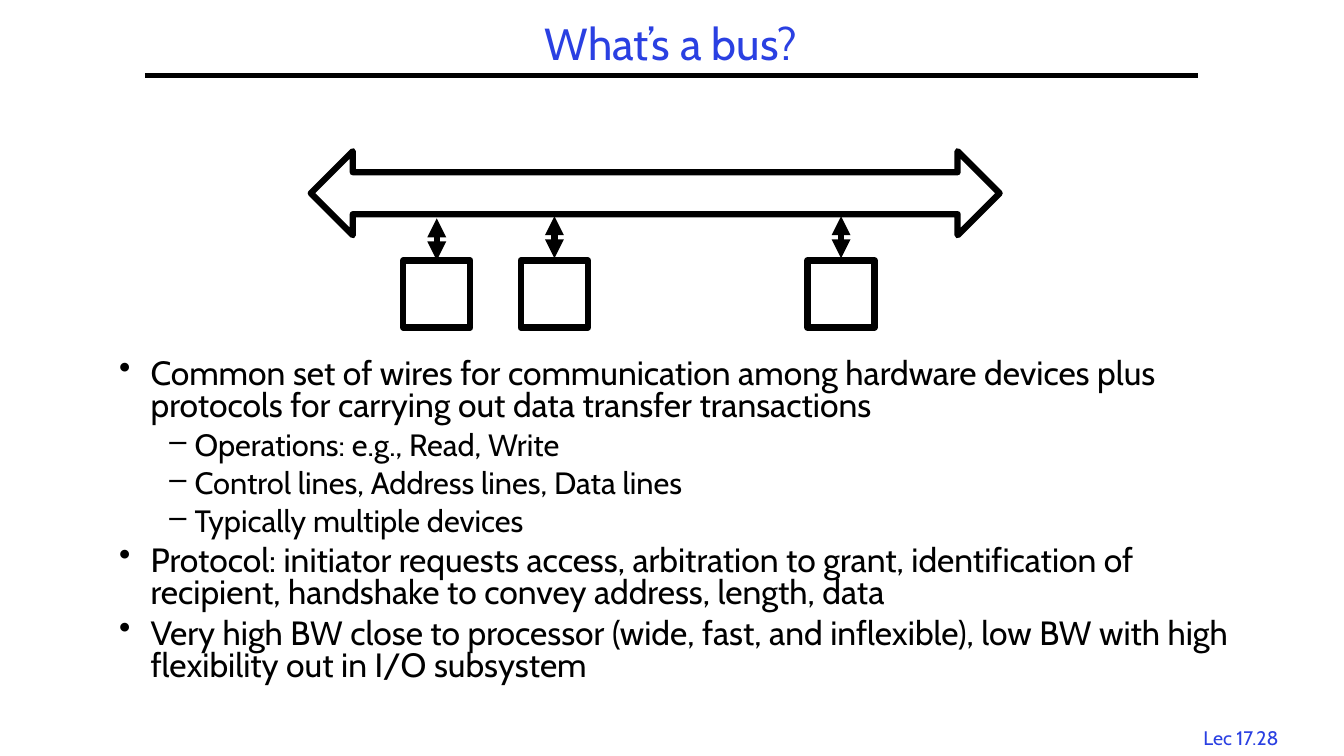
import pptx
import pptx.util
import pptx.dml.color
import pptx.enum.shapes
import pptx.enum.text
import pptx.oxml.ns
import lxml.etree

PX = 9525
FONT = "Cabin"
COLORS = {"ink": "000000", "paper": "FFFFFF", "accent": "2A40E2"}
SHAPE = pptx.enum.shapes.MSO_SHAPE
ALIGN = pptx.enum.text.PP_ALIGN
ANCHOR = pptx.enum.text.MSO_ANCHOR
LEVELS = [
    {"size": 24, "bullet": "•", "margin": 30, "hang": 30},
    {"size": 22, "bullet": "–", "margin": 72, "hang": 24},
]
POINTS = [
    (0, "Common set of wires for communication among hardware devices plus "
        "protocols for carrying out data transfer transactions"),
    (1, "Operations: e.g., Read, Write"),
    (1, "Control lines, Address lines, Data lines"),
    (1, "Typically multiple devices"),
    (0, "Protocol: initiator requests access, arbitration to grant, "
        "identification of recipient, handshake to convey address, length, data"),
    (0, "Very high BW close to processor (wide, fast, and inflexible), "
        "low BW with high flexibility out in I/O subsystem"),
]
DEVICE_SIZE = 64
DEVICE_TOP = 248
DEVICES = [(384, 248), (496, 246), (769, 246)]
LINK_LENGTH = 40


def px(*values):
    """Turn pixel lengths into EMU."""
    return [pptx.util.Emu(v * PX) for v in values]


def rgb(name):
    """Look up a named colour."""
    return pptx.dml.color.RGBColor.from_string(COLORS[name])


def add_xml(parent, tag, **attrs):
    """Append a DrawingML element to a parent."""
    return lxml.etree.SubElement(parent, pptx.oxml.ns.qn(tag), attrs)


def add_box(s, box, anchor=ANCHOR.TOP, wrap=True):
    """Add an empty text box and return its text frame."""
    tf = s.shapes.add_textbox(*px(*box)).text_frame
    tf.word_wrap = wrap
    tf.vertical_anchor = anchor
    return tf


def write(tf, text, size, color="ink", align=ALIGN.LEFT, spacing=1.0,
          bullet=None, margin=0, hang=0):
    """Write one formatted paragraph into a text frame."""
    first = not tf.text
    p = tf.paragraphs[0] if first else tf.add_paragraph()
    p.alignment = align
    p.line_spacing = spacing
    p.space_before = pptx.util.Pt(0 if first else 6)
    if bullet:
        pPr = p._p.get_or_add_pPr()
        pPr.set("marL", str(margin * PX))
        pPr.set("indent", str(-hang * PX))
        add_xml(pPr, "a:buChar", char=bullet)
    r = p.add_run()
    r.text = text
    r.font.name = FONT
    r.font.size = pptx.util.Pt(size)
    r.font.color.rgb = rgb(color)


def add_outline(s, kind, box):
    """Add a white shape with a heavy black outline."""
    sp = s.shapes.add_shape(kind, *px(*box))
    sp.shadow.inherit = False
    sp.fill.solid()
    sp.fill.fore_color.rgb = rgb("paper")
    sp.line.color.rgb = rgb("ink")
    sp.line.width = pptx.util.Pt(4.5)


def add_line(s, ends, width, arrows=False):
    """Add a straight black line, with arrowheads at both ends if asked."""
    line = s.shapes.add_connector(
        pptx.enum.shapes.MSO_CONNECTOR.STRAIGHT, *px(*ends))
    line.line.color.rgb = rgb("ink")
    line.line.width = pptx.util.Pt(width)
    if arrows:
        for tag in ("a:headEnd", "a:tailEnd"):
            add_xml(line.line._get_or_add_ln(), tag, type="triangle")
    add_xml(line._element.spPr, "a:effectLst")


def add_device(s, left, link_bottom):
    """Add a device box and its two-way link to the bus."""
    add_outline(s, SHAPE.RECTANGLE,
                (left, DEVICE_TOP, DEVICE_SIZE, DEVICE_SIZE))
    x = left + DEVICE_SIZE // 2
    add_line(s, (x, link_bottom, x, link_bottom - LINK_LENGTH), 4.5,
             arrows=True)


def main():
    """Build the bus slide and save it."""
    prs = pptx.Presentation()
    prs.slide_width, prs.slide_height = px(1280, 720)
    s = prs.slides.add_slide(prs.slide_layouts[6])

    write(add_box(s, (1130, 687, 104, 32), wrap=False), "Lec 17.28", 14,
          color="accent", align=ALIGN.CENTER)
    add_line(s, (138, 72, 1141, 72), 3)
    write(add_box(s, (138, 16, 1002, 56), anchor=ANCHOR.MIDDLE),
          "What’s a bus?", 32, color="accent", align=ALIGN.CENTER,
          spacing=0.9)

    tf = add_box(s, (104, 338, 1096, 336))
    for level, text in POINTS:
        write(tf, text, spacing=0.8, **LEVELS[level])

    add_outline(s, SHAPE.LEFT_RIGHT_ARROW, (296, 144, 656, 80))
    for left, link_bottom in DEVICES:
        add_device(s, left, link_bottom)

    prs.save("out.pptx")


if __name__ == "__main__":
    main()
